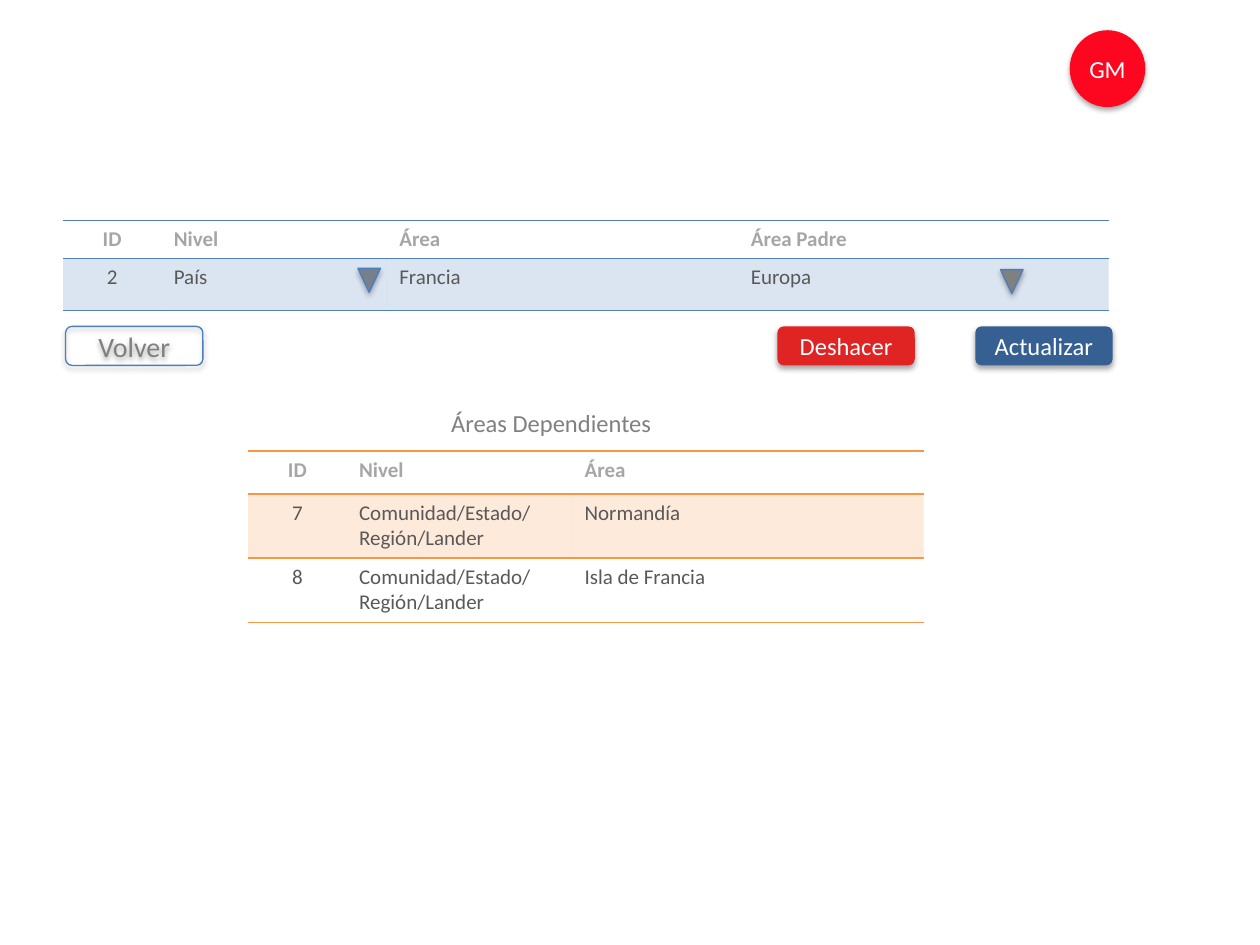
from lxml import etree
from pptx import Presentation
from pptx.dml.color import RGBColor
from pptx.enum.shapes import MSO_SHAPE
from pptx.enum.text import MSO_ANCHOR, PP_ALIGN
from pptx.oxml import parse_xml
from pptx.oxml.ns import nsdecls, qn
from pptx.util import Inches, Pt

CENTER, LEFT = PP_ALIGN.CENTER, PP_ALIGN.LEFT
MIDDLE = MSO_ANCHOR.MIDDLE
TRIANGLE = MSO_SHAPE.ISOSCELES_TRIANGLE
ROUNDED, OVAL = MSO_SHAPE.ROUNDED_RECTANGLE, MSO_SHAPE.OVAL
NO_GRID = "{2D5ABB26-0587-4C30-8999-92F81FD0307C}"
COLORS = {
    "blue": "4F81BD",
    "orange": "F79646",
    "outline": "4B7EBC",
    "gray": "808080",
    "header": "A6A6A6",
    "body": "595959",
    "white": "FFFFFF",
    "undo": "E02423",
    "update": "376092",
    "badge": "FC071F",
}


def rgb(name):
    return RGBColor.from_string(COLORS[name])


def write(tf, text, size=14, color="white", bold=False, align=CENTER):
    p = tf.paragraphs[0]
    p.alignment = align
    r = p.add_run()
    r.text = text
    r.font.name = "Calibri"
    r.font.size = Pt(size)
    r.font.bold = bold
    r.font.color.rgb = rgb(color)


class Screen:
    def __init__(self, prs):
        self.s = prs.slides.add_slide(prs.slide_layouts[6])

    def add_shadow(self, sp):
        sp.shadow.inherit = False
        effects = sp._element.spPr.find(qn("a:effectLst"))
        effects.append(parse_xml(
            f'<a:outerShdw {nsdecls("a")} blurRad="40000" dist="23000" '
            'dir="5400000" rotWithShape="0"><a:srgbClr val="000000">'
            '<a:alpha val="35000"/></a:srgbClr></a:outerShdw>'))

    def shape(self, kind, x, y, w, h, fill=None, line=None):
        sp = self.s.shapes.add_shape(kind, Inches(x), Inches(y), Inches(w), Inches(h))
        if fill:
            sp.fill.solid()
            sp.fill.fore_color.rgb = rgb(fill)
        else:
            sp.fill.background()
        if line:
            sp.line.color.rgb = rgb(line)
            sp.line.width = Pt(0.75)
        else:
            sp.line.fill.background()
        self.add_shadow(sp)
        return sp

    def dropdown(self, x, y):
        sp = self.shape(TRIANGLE, x, y, 0.18, 0.19, "gray", "outline")
        sp._element.spPr.find(qn("a:xfrm")).set("flipV", "1")

    def button(self, text, x, fill=None, line=None, **fmt):
        sp = self.shape(ROUNDED, x, 2.59, 1.09, 0.31, fill, line)
        sp.text_frame.vertical_anchor = MIDDLE
        write(sp.text_frame, text, **fmt)

    def badge(self, text, x, y):
        tf = self.shape(OVAL, x, y, 0.6, 0.61, "badge").text_frame
        tf.vertical_anchor = MIDDLE
        tf.margin_left = tf.margin_right = Inches(0.04)
        tf.margin_top = tf.margin_bottom = 0
        write(tf, text)

    def label(self, text, x, y, w, h):
        tf = self.s.shapes.add_textbox(Inches(x), Inches(y), Inches(w), Inches(h)).text_frame
        tf.word_wrap = True
        tf.margin_left = tf.margin_right = Inches(0.04)
        write(tf, text, color="gray", align=LEFT)

    def border(self, cell, side, color):
        ln = parse_xml(
            f'<a:{side} {nsdecls("a")} w="12700"><a:solidFill>'
            f'<a:srgbClr val="{COLORS[color]}"/></a:solidFill></a:{side}>')
        cell._tc.get_or_add_tcPr().insert(0, ln)

    def tint(self, cell, color):
        cell.fill.solid()
        cell.fill.fore_color.rgb = rgb(color)
        clr = cell._tc.tcPr.find(".//" + qn("a:srgbClr"))
        etree.SubElement(clr, qn("a:alpha")).set("val", "20000")

    def table(self, x, y, widths, heights, rows, accent):
        frame = self.s.shapes.add_table(
            len(rows), len(widths), Inches(x), Inches(y),
            Inches(sum(widths)), Inches(sum(heights)))
        tbl = frame.table
        tbl._tbl.tblPr.find(qn("a:tableStyleId")).text = NO_GRID
        for col, w in zip(tbl.columns, widths):
            col.width = Inches(w)
        for row, h in zip(tbl.rows, heights):
            row.height = Inches(h)
        for i, row in enumerate(rows):
            for j, text in enumerate(row):
                cell = tbl.cell(i, j)
                write(cell.text_frame, text, size=12, bold=i == 0,
                      color="body" if i else "header",
                      align=LEFT if j else CENTER)
                if i == 1:
                    self.tint(cell, accent)
                else:
                    cell.fill.background()
                if i in (0, len(rows) - 1):
                    self.border(cell, "lnB", accent)
                if i < 2:
                    self.border(cell, "lnT", accent)


def main():
    prs = Presentation()
    prs.slide_width, prs.slide_height = Inches(10), Inches(7.5)
    screen = Screen(prs)
    widths = [0.78, 1.79, 2.79]
    level = "Comunidad/Estado/Región/Lander"

    screen.dropdown(2.84, 2.13)
    screen.table(0.5, 1.75, widths + [2.94], [0.3, 0.41], [
        ["ID", "Nivel", "Área", "Área Padre"],
        ["2", "País", "Francia", "Europa"],
    ], "blue")
    screen.dropdown(7.94, 2.14)
    screen.table(1.97, 3.58, widths, [0.34, 0.51, 0.51], [
        ["ID", "Nivel", "Área"],
        ["7", level, "Normandía"],
        ["8", level, "Isla de Francia"],
    ], "orange")
    screen.label("Áreas Dependientes", 3.54, 3.19, 2.21, 0.34)
    screen.button("Deshacer", 6.17, "undo")
    screen.button("Actualizar", 7.74, "update")
    screen.badge("GM", 8.49, 0.24)
    screen.button("Volver", 0.52, line="outline", size=16, color="gray")
    prs.save("out.pptx")


if __name__ == "__main__":
    main()
